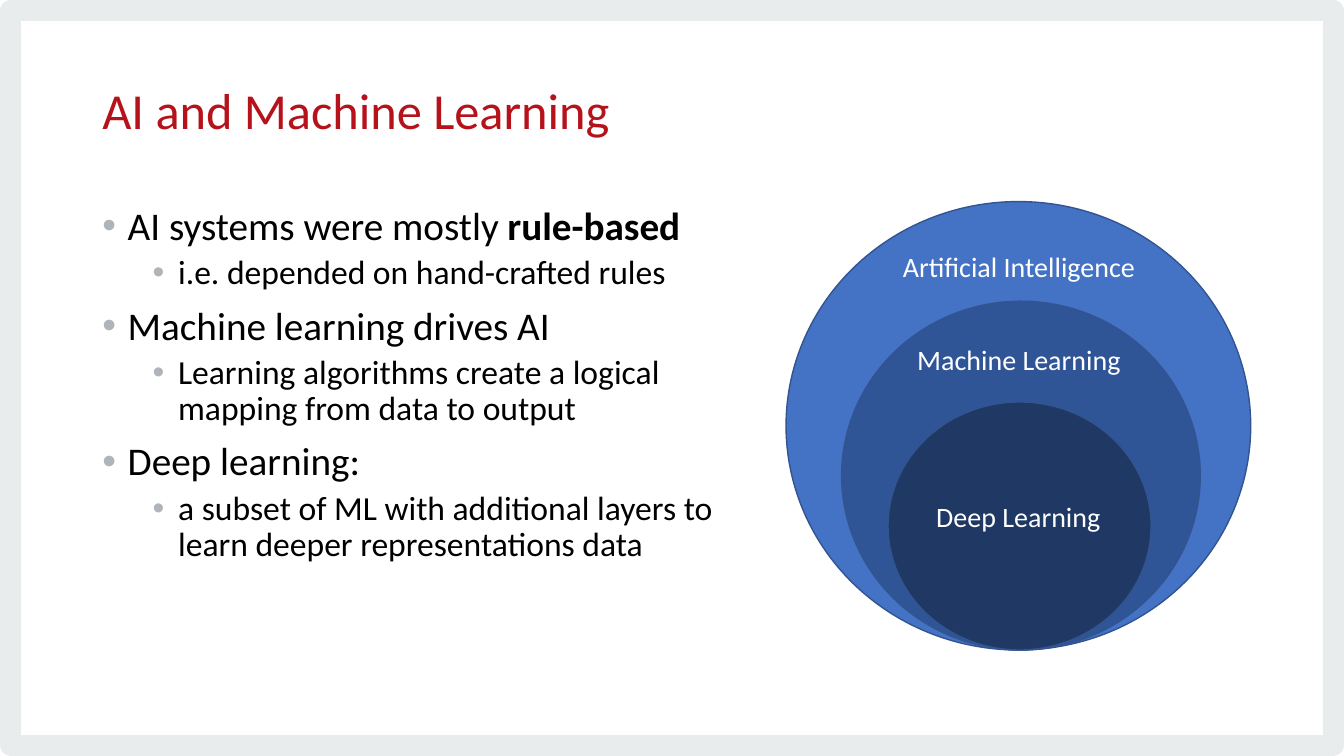
from lxml import etree
from pptx import Presentation
from pptx.dml.color import RGBColor
from pptx.enum.shapes import MSO_SHAPE as SHAPE
from pptx.enum.text import MSO_ANCHOR as ANCHOR, PP_ALIGN as ALIGN
from pptx.oxml.ns import qn
from pptx.util import Cm, Pt


def rgb(color):
    return RGBColor.from_string(color)


def add_text(left, top, width, height, lines, size, color):
    tf = s.shapes.add_textbox(Cm(left), Cm(top), Cm(width), Cm(height)).text_frame
    tf.word_wrap = True
    for i, line in enumerate(lines):
        p = tf.paragraphs[0] if i == 0 else tf.add_paragraph()
        for j, part in enumerate(line.split("**")):
            if part:
                r = p.add_run()
                r.text = part
                r.font.name = "Calibri"
                r.font.size = Pt(size)
                r.font.bold = j % 2 == 1
                r.font.color.rgb = rgb(color)
    return tf


prs = Presentation()
prs.slide_width, prs.slide_height = Cm(33.87), Cm(19.05)
s = prs.slides.add_slide(prs.slide_layouts[6])

frame = s.shapes.add_shape(SHAPE.RECTANGLE, Cm(0.27), Cm(0.27), Cm(33.33), Cm(18.51))
frame.shadow.inherit = False
frame.fill.background()
frame.line.color.rgb = rgb("E9ECED")
frame.line.width = Pt(15.11)
etree.SubElement(frame.line._ln, qn("a:round"))

tf = add_text(2.33, 1.01, 29.21, 3.68, ["AI and Machine Learning"], 36, "B5121B")
tf.vertical_anchor = ANCHOR.MIDDLE
tf.paragraphs[0].line_spacing = 0.9

points = [
    ("AI systems were mostly **rule-based**", 0),
    ("i.e. depended on hand-crafted rules", 1),
    ("Machine learning drives AI", 0),
    ("Learning algorithms create a logical mapping from data to output", 1),
    ("Deep learning:", 0),
    ("a subset of ML with additional layers to learn deeper representations data", 1),
]
tf = add_text(2.33, 5.08, 16.74, 12.09, [text for text, level in points], 28, "000000")
for i, (p, (text, level)) in enumerate(zip(tf.paragraphs, points)):
    pPr = p._p.get_or_add_pPr()
    pPr.set("marL", str(Cm(0.64 + 1.27 * level)))
    pPr.set("indent", str(-Cm(0.64)))
    buClr = etree.SubElement(pPr, qn("a:buClr"))
    etree.SubElement(buClr, qn("a:srgbClr"), val="AEB4B9")
    etree.SubElement(pPr, qn("a:buFont"), typeface="Arial")
    etree.SubElement(pPr, qn("a:buChar"), char="•")
    p.level = level
    p.line_spacing = 0.9
    if i:
        p.space_before = Pt(5 if level else 10)
    for r in p.runs:
        r.font.size = Pt(24 if level else 28)

circles_bottom = 16.38
circles = [
    (19.81, 11.71, 11.3, "4472C4"),
    (21.21, 9.04, 8.79, "2F5597"),
    (22.38, 6.63, 6.25, "203864"),
]
for left, width, height, color in circles:
    sp = s.shapes.add_shape(SHAPE.OVAL, Cm(left), Cm(circles_bottom - height), Cm(width), Cm(height))
    sp.shadow.inherit = False
    sp.fill.solid()
    sp.fill.fore_color.rgb = rgb(color)
    sp.line.color.rgb = rgb("325491")
    sp.line.width = Pt(1)

labels = [
    ("Artificial Intelligence", 21.82, 6.15, 7.72),
    ("Machine Learning", 21.82, 8.51, 7.72),
    ("Deep Learning", 23.06, 12.45, 5.21),
]
for label, left, top, width in labels:
    tf = add_text(left, top, width, 1.11, [label], 20, "FFFFFF")
    tf.paragraphs[0].alignment = ALIGN.CENTER

prs.save("out.pptx")
